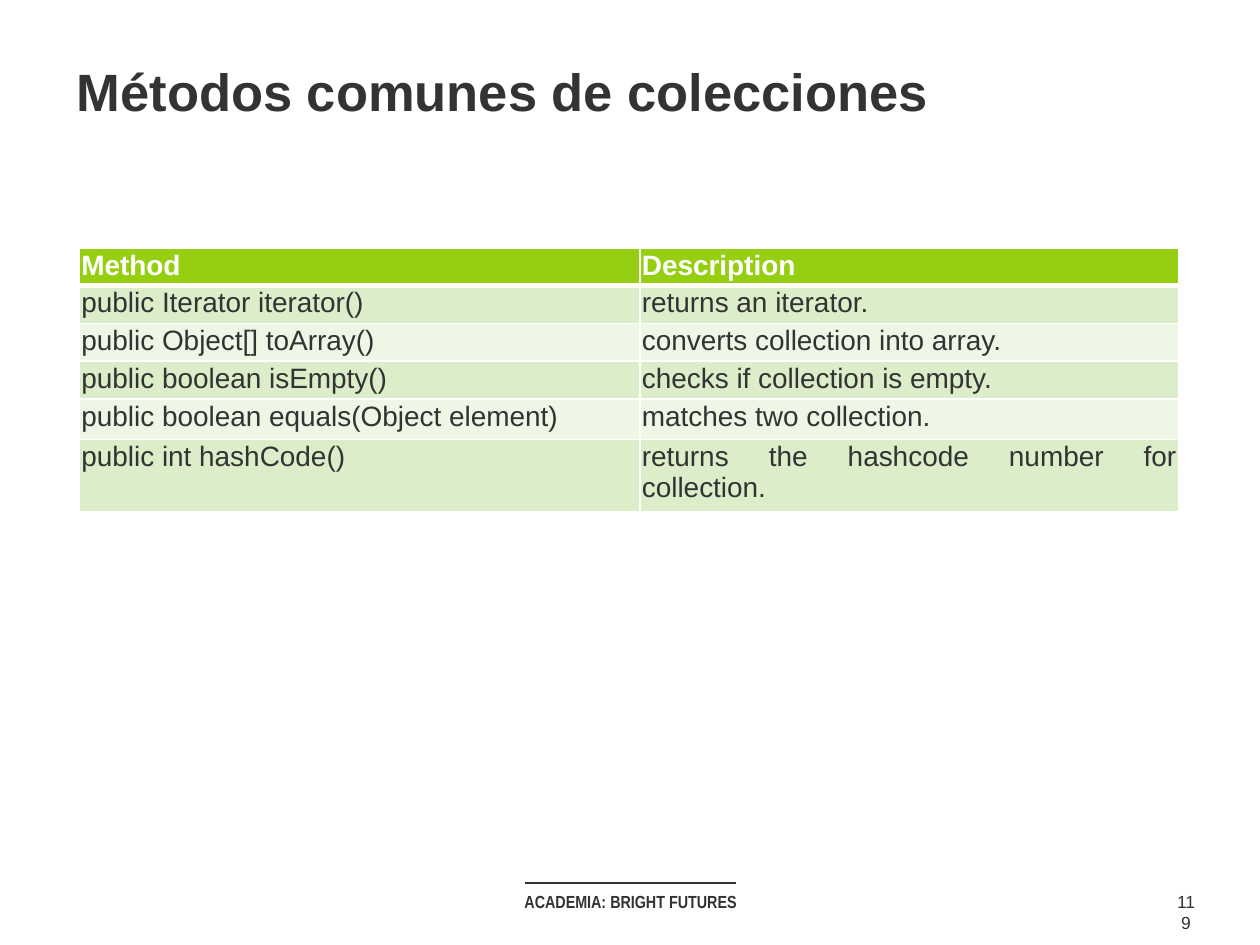
from pptx import Presentation
from pptx.dml.color import RGBColor
from pptx.enum.shapes import MSO_CONNECTOR
from pptx.enum.text import MSO_ANCHOR, MSO_AUTO_SIZE, PP_ALIGN
from pptx.oxml.ns import qn
from pptx.util import Cm, Pt
from lxml.etree import SubElement

DARK = RGBColor(0x33, 0x33, 0x33)
WHITE = RGBColor(0xFF, 0xFF, 0xFF)
GREEN = RGBColor(0x96, 0xCF, 0x12)
BAND_1 = RGBColor(0xDC, 0xED, 0xCA)
BAND_2 = RGBColor(0xEE, 0xF6, 0xE6)

ROWS = [
    ("Method", "Description"),
    ("public Iterator iterator()", "returns an iterator."),
    ("public Object[] toArray()", "converts collection into array."),
    ("public boolean isEmpty()", "checks if collection is empty."),
    ("public boolean equals(Object element)", "matches two collection."),
    ("public int hashCode()", "returns the hashcode number for collection."),
]
COL_WIDTHS = [11.3, 10.86]
ROW_HEIGHTS = [0.76, 0.76, 0.76, 0.76, 0.82, 1.45]


def style(p, size, color, bold=False, name="Arial", align=None):
    p.alignment = align
    p.font.size = Pt(size)
    p.font.name = name
    p.font.bold = bold
    p.font.color.rgb = color


def add_border(cell, side, width):
    ln = SubElement(cell._tc.get_or_add_tcPr(), qn("a:" + side), w=str(Pt(width)))
    fill = SubElement(ln, qn("a:solidFill"))
    SubElement(fill, qn("a:srgbClr"), val=str(WHITE))


prs = Presentation()
prs.slide_width, prs.slide_height = Cm(25.4), Cm(19.05)
s = prs.slides.add_slide(prs.slide_layouts[5])

title = s.shapes.title
title.left, title.top, title.width, title.height = Cm(1.55), Cm(1.04), Cm(22.23), Cm(1.55)
tf = title.text_frame
tf.text = "Métodos comunes de colecciones"
tf.auto_size = MSO_AUTO_SIZE.NONE
tf.vertical_anchor = MSO_ANCHOR.MIDDLE
tf.margin_left = tf.margin_right = 0
style(tf.paragraphs[0], 30, DARK, bold=True, align=PP_ALIGN.LEFT)

table = s.shapes.add_table(
    len(ROWS), 2, Cm(1.6), Cm(5), Cm(sum(COL_WIDTHS)), Cm(sum(ROW_HEIGHTS))
).table
for col, width in zip(table.columns, COL_WIDTHS):
    col.width = Cm(width)
for i, (row, height, texts) in enumerate(zip(table.rows, ROW_HEIGHTS, ROWS)):
    row.height = Cm(height)
    header = i == 0
    for cell, text in zip(row.cells, texts):
        cell.margin_left = cell.margin_right = Cm(0.04)
        cell.margin_top = cell.margin_bottom = Cm(0.04)
        cell.text = text
        style(cell.text_frame.paragraphs[0], 16, WHITE if header else DARK,
              bold=header, align=None if header else PP_ALIGN.JUSTIFY)
        for side in ("lnL", "lnR", "lnT", "lnB"):
            thick = (header and side == "lnB") or (i == 1 and side == "lnT")
            add_border(cell, side, 3 if thick else 1)
        cell.fill.solid()
        cell.fill.fore_color.rgb = GREEN if header else BAND_1 if i % 2 else BAND_2

rule = s.shapes.add_connector(MSO_CONNECTOR.STRAIGHT, Cm(10.59), Cm(17.8), Cm(14.83), Cm(17.8))
rule.line.color.rgb = DARK
rule.line.width = Pt(0.75)
SubElement(rule._element.spPr, qn("a:effectLst"))

for text, left, width, name, bold in [
    ("ACADEMIA: BRIGHT FUTURES", 9.32, 6.78, "Arial Narrow", True),
    ("119", 23.44, 0.94, "Arial", False),
]:
    tf = s.shapes.add_textbox(Cm(left), Cm(17.83), Cm(width), Cm(0.69)).text_frame
    tf.word_wrap = True
    tf.text = text
    style(tf.paragraphs[0], 10, DARK, bold=bold, name=name, align=PP_ALIGN.CENTER)

prs.save("out.pptx")
